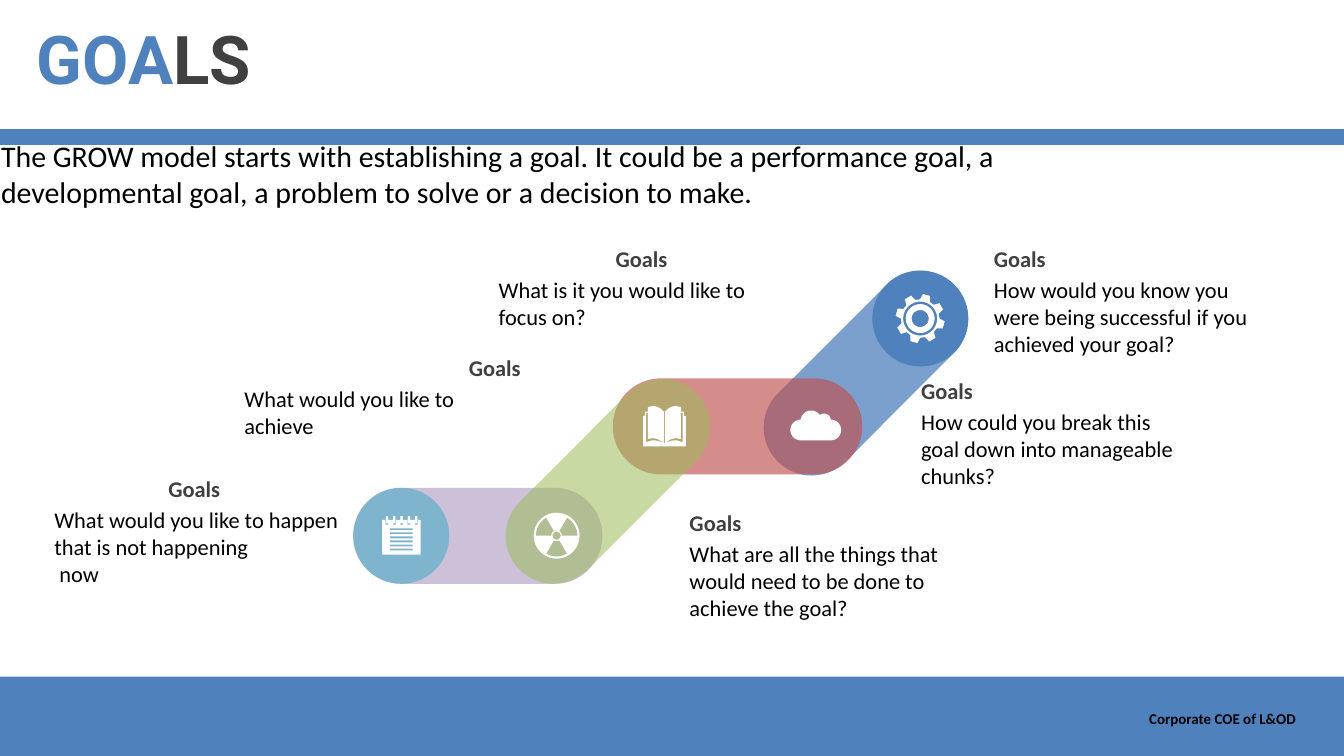
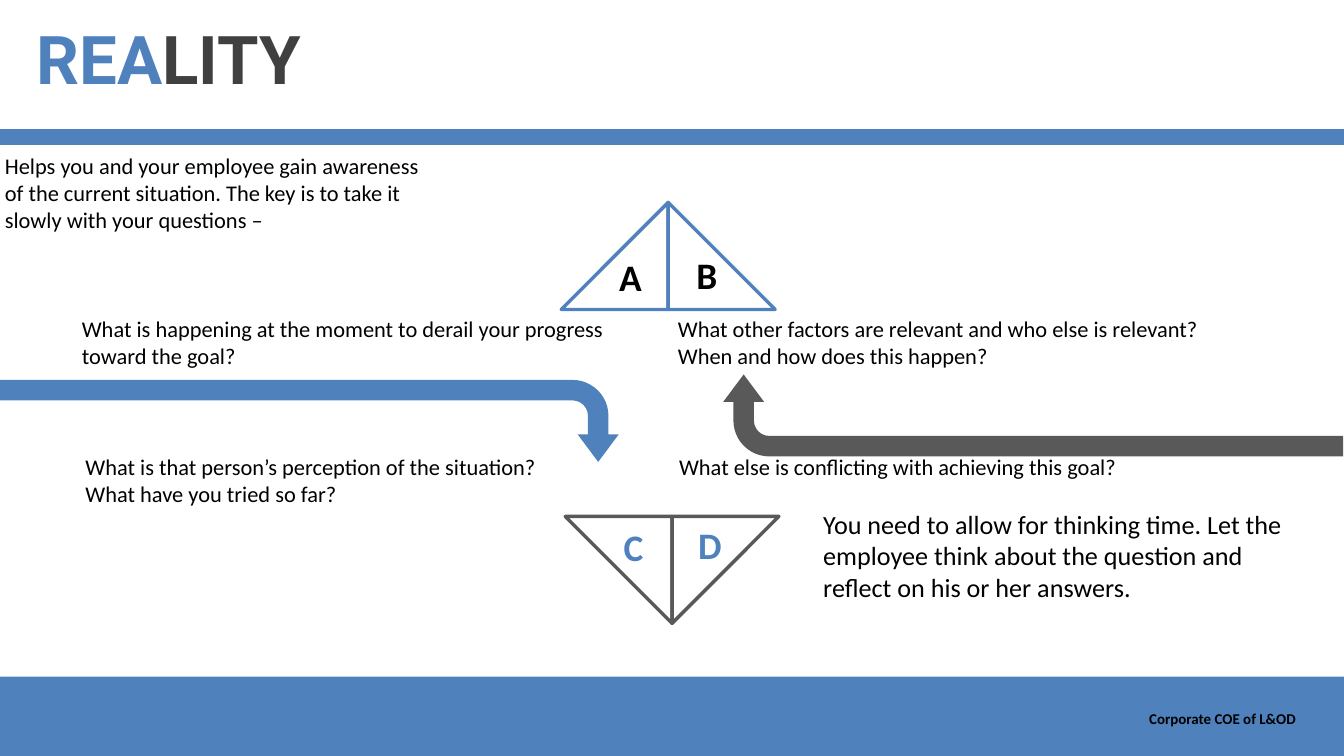
from math import cos, radians, sin

from lxml import etree
from pptx import Presentation
from pptx.dml.color import RGBColor
from pptx.enum import shapes, text
from pptx.oxml.ns import qn
from pptx.util import Pt

COLOURS = {
    "blue": "4F81BD", "charcoal": "404040", "grey": "595959", "black": "000000",
    "white": "FFFFFF", "purple": "8064A2", "teal": "4BACC6", "red": "C0504D",
    "green": "9BBB59",
}
WIDTH, HEIGHT = 1583, 890
BODY = 26.4
FORM = shapes.MSO_SHAPE
LEFT, CENTRE, RIGHT = text.PP_ALIGN.LEFT, text.PP_ALIGN.CENTER, text.PP_ALIGN.RIGHT


def paint(shape, colour, opacity=100):
    """Give a shape a flat fill, with no line and no shadow."""
    shape.shadow.inherit = False
    shape.line.fill.background()
    shape.fill.solid()
    shape.fill.fore_color.rgb = RGBColor.from_string(COLOURS[colour])
    if opacity < 100:
        tint = shape.fill._xPr.find(qn("a:solidFill"))[0]
        etree.SubElement(tint, qn("a:alpha")).set("val", str(opacity * 1000))


def write(slide, box, runs, size=BODY, bold=False, align=LEFT, face="Calibri"):
    """Add one paragraph of (wording, colour) runs; a newline breaks the line."""
    frame = slide.shapes.add_textbox(*map(Pt, box)).text_frame
    frame.word_wrap = True
    paragraph = frame.paragraphs[0]
    paragraph.alignment = align
    for wording, colour in runs:
        for number, line in enumerate(wording.split("\n")):
            if number:
                paragraph.add_line_break()
            run = paragraph.add_run()
            run.text = line
            run.font.name, run.font.size, run.font.bold = face, Pt(size), bold
            run.font.color.rgb = RGBColor.from_string(COLOURS[colour])
    return frame


deck = Presentation()
deck.slide_width, deck.slide_height = Pt(WIDTH), Pt(HEIGHT)

# Bands, footer and title on every slide
pages = []
for title_start, title_end in (("GOA", "LS"), ("REA", "LITY")):
    page = deck.slides.add_slide(deck.slide_layouts[6])
    pages.append(page)
    for top, height in ((796.5, 93.5), (152, 18.7)):
        band = page.shapes.add_shape(FORM.RECTANGLE, 0, Pt(top), Pt(WIDTH), Pt(height))
        paint(band, "blue")
    write(page, (1346.4, 831.8, 220, 28.8), [("Corporate COE of L&OD", "black")], 17.6, True)
    title = write(page, (43.2, 0, 1539.4, 153.4),
                  [(title_start, "blue"), (title_end, "charcoal")], 79.1, True, face="Roboto")
    title.margin_left = title.margin_right = title.margin_top = title.margin_bottom = 0
    title.vertical_anchor = text.MSO_ANCHOR.MIDDLE
    title.paragraphs[0].line_spacing = 0.8
goals, reality = pages

# Goals: the chain of bars and discs, given by centre
DISC, BAR = 113, 293.8
chain = (
    (FORM.ROUNDED_RECTANGLE, BAR, 1019.9, 439.4, 45, "blue", 75),
    (FORM.OVAL, DISC, 1084, 375, 45, "blue", 100),
    (FORM.ROUNDED_RECTANGLE, BAR, 562.7, 630.8, 90, "purple", 40),
    (FORM.OVAL, DISC, 472.7, 630.8, 90, "teal", 60),
    (FORM.ROUNDED_RECTANGLE, BAR, 868.7, 502, 90, "red", 65),
    (FORM.ROUNDED_RECTANGLE, BAR, 716, 566.8, 45, "green", 55),
)
for form, length, x, y, angle, colour, opacity in chain:
    link = goals.shapes.add_shape(form, Pt(x - DISC / 2), Pt(y - length / 2), Pt(DISC), Pt(length))
    link.rotation = angle
    if form == FORM.ROUNDED_RECTANGLE:
        link.adjustments[0] = 0.5
    paint(link, colour, opacity)

# Goals: the questions, each with the width of its heading and of its body
questions = (
    (1163.5, 284.6, 350.6, 350.6, LEFT,
     "How would you know you were being successful if you achieved your goal?"),
    (1077.8, 440.1, 327.6, 327.6, LEFT,
     "How could you break this goal down into manageable chunks?"),
    (580.3, 284.6, 350.6, 350.6, CENTRE, "What is it you would like to focus on?"),
    (805, 595.6, 327.6, 327.6, LEFT,
     "What are all the things that would need to be done to achieve the goal?"),
    (280.8, 413.4, 339.5, 350.6, RIGHT, "What would you like to\nachieve"),
    (56.9, 556, 344, 350.6, CENTRE,
     "What would you like to happen that is not happening\n now"),
)
for x, y, heading_width, body_width, align, question in questions:
    write(goals, (x, y + 36.7, body_width, 103), [(question, "black")])
    write(goals, (x, y, heading_width, 38.9), [("Goals", "charcoal")], bold=True, align=align)
write(goals, (-5.8, 158.4, 1516.3, 92.2),
      [("The GROW model starts with establishing a goal. It could be a performance goal, a\n"
        "developmental goal, a problem to solve or a decision to make.", "black")], 35.2)

# Goals: icons as lists of outlines, where an outline inside another cuts a hole
STEP = 5
turn = [(cos(radians(a)), sin(radians(a))) for a in range(0, 451, STEP)]
circle = turn[:360 // STEP]

gear_x, gear_y = 1083.8, 375
teeth = [
    (gear_x + radius * cos(radians(middle + offset)), gear_y + radius * sin(radians(middle + offset)))
    for middle in range(-75, 285, 45)
    for offset, radius in ((-15.5, 22.6), (-8.5, 29), (8.5, 29), (15.5, 22.6))
]
gear = [teeth] + [[(gear_x + r * c, gear_y + r * s) for c, s in circle] for r in (20, 17, 10)]

fan_x, fan_y = 655.6, 630.6
fan = [[(fan_x + r * c, fan_y + r * s) for c, s in circle] for r in (27, 4.7)]
for start in (60, 180, 300):
    sector = turn[start // STEP:(start + 60) // STEP + 1]
    fan.append([(fan_x + 24.5 * c, fan_y + 24.5 * s) for c, s in sector]
               + [(fan_x + 6.3 * c, fan_y + 6.3 * s) for c, s in reversed(sector)])

lobes = ((943.2, 506.2, 12.2, 90, 270), (955.4, 495.7, 12.4, 190, 325),
         (970.6, 494.9, 8, 230, 350), (978.5, 506.2, 12.2, 270, 450))
cloud = [[(x + r * c, y + r * s) for x, y, r, start, end in lobes
          for c, s in turn[start // STEP:end // STEP + 1]]]

notepad_parts = [(450, 612, 45.4, 41)]
notepad_parts += [(459.4, 622.1 + 4.75 * row, 26.6, 2.1) for row in range(6)]
for ring in range(5):
    ring_x = 455.8 + 8.64 * ring
    notepad_parts += [(ring_x - 1.8, 612, 3.6, 5.8), (ring_x - 1.4, 607.7, 2.8, 8.6)]
notepad = [[(x, y), (x + w, y), (x + w, y + h), (x, y + h)] for x, y, w, h in notepad_parts]

book_x, book_y = 782.6, 478.1
cover = [(0.7, 6.5), (5, 2.5), (9, 0.6), (12.2, 0), (16, 0.3), (19.4, 1.4), (19.4, 6.5),
         (23, 6.5), (23, 11.5), (25.2, 11.5), (25.2, 47.5)]
page_gap = [(0.7, 43.2), (9, 40.6), (14, 40.2), (21.6, 42.5), (21.6, 7.9), (19.4, 7.9),
            (19.4, 38.9), (14, 37.6), (8, 38.8)]
spine = [(-0.7, 6.5), (0.7, 6.5), (0.7, 43.2), (-0.7, 43.2)]
book_outlines = [cover + [(-x, y) for x, y in reversed(cover)], spine,
                 page_gap, [(-x, y) for x, y in page_gap]]
book = [[(book_x + x, book_y + y) for x, y in outline] for outline in book_outlines]

for icon in (gear, book, cloud, notepad, fan):
    outlines = [[(Pt(x), Pt(y)) for x, y in outline] for outline in icon]
    pen = goals.shapes.build_freeform(*outlines[0][0], scale=1.0)
    pen.add_line_segments(outlines[0][1:], close=True)
    for outline in outlines[1:]:
        pen.move_to(*outline[0])
        pen.add_line_segments(outline[1:], close=True)
    paint(pen.convert_to_shape(), "white")

# Reality: the two split triangles
SIDE = 126
for x, y, angle, colour in ((787, 238.3, 0, "blue"), (661, 238.3, 270, "blue"),
                            (665.7, 607.9, 180, "grey"), (791.5, 607.9, 90, "grey")):
    half = reality.shapes.add_shape(FORM.RIGHT_TRIANGLE, Pt(x), Pt(y), Pt(SIDE), Pt(SIDE))
    half.rotation = angle
    half.shadow.inherit = False
    half.fill.background()
    half.line.color.rgb = RGBColor.from_string(COLOURS[colour])
    half.line.width = Pt(4)

# Reality: the bent arrows
for x, y, angle, colour in ((315.4, 130.5, 90, "blue"), (1168.6, 124, 270, "grey")):
    arrow = reality.shapes.add_shape(FORM.BENT_ARROW, Pt(x), Pt(y), Pt(96.5), Pt(730.1))
    arrow.rotation = angle
    for index, ratio in enumerate((0.25, 0.25, 0.335, 0.438)):
        arrow.adjustments[index] = ratio
    paint(arrow, colour)

# Reality: wording
for letter, x, y, colour in (("A", 697.7, 295.9, "black"), ("B", 787.7, 293.8, "black"),
                             ("C", 701.3, 613.6, "blue"), ("D", 791.3, 611.5, "blue")):
    write(reality, (x, y, 90, 60.5), [(letter, colour)], 44, True, CENTRE)
passages = (
    (791.3, 367.4, 697.7, BODY,
     "What other factors are relevant and who else is relevant?\nWhen and how does this happen?"),
    (93.6, 529.4, 697.7, BODY,
     "What is that person’s perception of the situation?\nWhat have you tried so far?"),
    (89.3, 367.4, 697.7, BODY,
     "What is happening at the moment to derail your progress toward the goal?"),
    (792.7, 529.4, 697.7, BODY, "What else is conflicting with achieving this goal?"),
    (-1.4, 175.7, 1583, BODY,
     "Helps you and your employee gain awareness\n"
     "of the current situation. The key is to take it\nslowly with your questions –"),
    (962.6, 594.9, 576, 30.8,
     "You need to allow for thinking time. Let the employee think about the question "
     "and reflect on his or her answers."),
)
for x, y, width, size, passage in passages:
    write(reality, (x, y, width, 71.3), [(passage, "black")], size)

deck.save("out.pptx")
